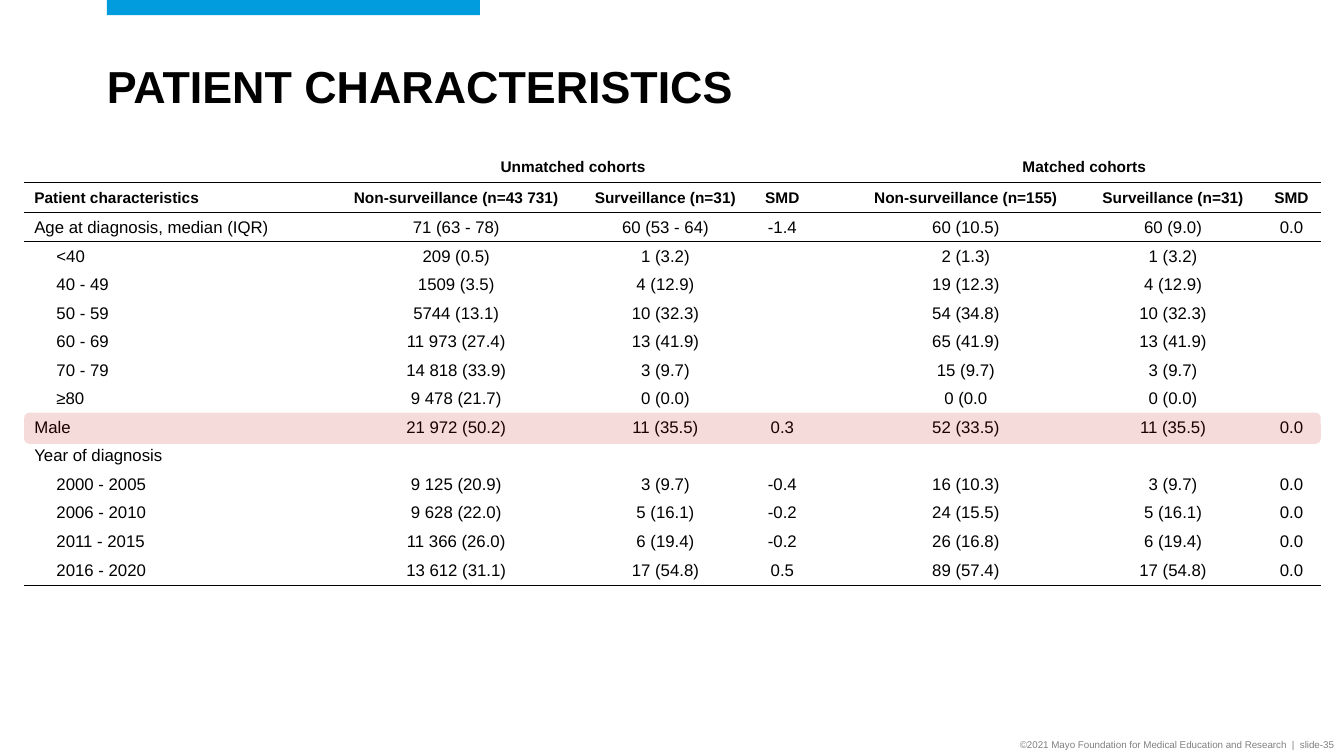
import pptx
import pptx.dml.color
import pptx.enum.shapes
import pptx.enum.text
import pptx.oxml
import pptx.oxml.ns
import pptx.util

RGBColor = pptx.dml.color.RGBColor
BLACK = RGBColor(0x00, 0x00, 0x00)
GREY = RGBColor(0x80, 0x80, 0x80)
BLUE = RGBColor(0x00, 0x9C, 0xDE)
RED = RGBColor(0xC0, 0x00, 0x00)

SHAPE = pptx.enum.shapes.MSO_SHAPE
ALIGN = pptx.enum.text.PP_ALIGN
ANCHOR = pptx.enum.text.MSO_ANCHOR

GRID = pptx.util.Inches(1 / 12)  # one column or row of the 160 by 90 grid
NO_STYLE = "{2D5ABB26-0587-4C30-8999-92F81FD0307C}"

TABLE_LEFT, TABLE_TOP = 2.88, 18
COLUMN_WIDTHS = (36.96, 28.92, 20.88, 6.96, 4.32, 28.08, 21.24, 6.96)
BODY_ROW = 3.4
HEADER_ROWS = 2
INDENT = "> "  # marks a label that sits one level in

ROWS = [
    ("", "Unmatched cohorts", "", "", "", "Matched cohorts", "", ""),
    ("Patient characteristics", "Non-surveillance (n=43 731)", "Surveillance (n=31)", "SMD",
     "", "Non-surveillance (n=155)", "Surveillance (n=31)", "SMD"),
    ("Age at diagnosis, median (IQR)", "71 (63 - 78)", "60 (53 - 64)", "-1.4",
     "", "60 (10.5)", "60 (9.0)", "0.0"),
    ("> <40", "209 (0.5)", "1 (3.2)", "", "", "2 (1.3)", "1 (3.2)", ""),
    ("> 40 - 49", "1509 (3.5)", "4 (12.9)", "", "", "19 (12.3)", "4 (12.9)", ""),
    ("> 50 - 59", "5744 (13.1)", "10 (32.3)", "", "", "54 (34.8)", "10 (32.3)", ""),
    ("> 60 - 69", "11 973 (27.4)", "13 (41.9)", "", "", "65 (41.9)", "13 (41.9)", ""),
    ("> 70 - 79", "14 818 (33.9)", "3 (9.7)", "", "", "15 (9.7)", "3 (9.7)", ""),
    ("> ≥80", "9 478 (21.7)", "0 (0.0)", "", "", "0 (0.0", "0 (0.0)", ""),
    ("Male", "21 972 (50.2)", "11 (35.5)", "0.3", "", "52 (33.5)", "11 (35.5)", "0.0"),
    ("Year of diagnosis", "", "", "", "", "", "", ""),
    ("> 2000 - 2005", "9 125 (20.9)", "3 (9.7)", "-0.4", "", "16 (10.3)", "3 (9.7)", "0.0"),
    ("> 2006 - 2010", "9 628 (22.0)", "5 (16.1)", "-0.2", "", "24 (15.5)", "5 (16.1)", "0.0"),
    ("> 2011 - 2015", "11 366 (26.0)", "6 (19.4)", "-0.2", "", "26 (16.8)", "6 (19.4)", "0.0"),
    ("> 2016 - 2020", "13 612 (31.1)", "17 (54.8)", "0.5", "", "89 (57.4)", "17 (54.8)", "0.0"),
]
ROW_HEIGHTS = [3.72, 3.6] + [BODY_ROW] * (len(ROWS) - 3) + [3.6]
RULED_ROWS = (0, 1, len(ROWS) - 1)


def grid(*lengths):
    return [pptx.util.Emu(round(length * GRID)) for length in lengths]


class SlideBuilder:
    def __init__(self, slide, font="Arial"):
        self.slide = slide
        self.font = font

    def style(self, para, size, color=BLACK, bold=False, align=ALIGN.LEFT):
        para.alignment = align
        for span in para.runs:
            span.font.name = self.font
            span.font.size = pptx.util.Pt(size)
            span.font.bold = bold
            span.font.color.rgb = color

    def title(self, text, place):
        box = self.slide.shapes.title
        box.left, box.top, box.width, box.height = grid(*place)
        frame = box.text_frame
        frame.margin_left = frame.margin_right = 0
        frame.vertical_anchor = ANCHOR.TOP
        frame.auto_size = pptx.enum.text.MSO_AUTO_SIZE.NONE
        frame.text = text
        frame.paragraphs[0].line_spacing = 0.9
        self.style(frame.paragraphs[0], 32, bold=True)

    def text(self, text, place, size, color, align):
        frame = self.slide.shapes.add_textbox(*grid(*place)).text_frame
        frame.word_wrap = True
        frame.vertical_anchor = ANCHOR.MIDDLE
        frame.text = text
        self.style(frame.paragraphs[0], size, color, align=align)

    def block(self, kind, place, color, opacity=100):
        block = self.slide.shapes.add_shape(kind, *grid(*place))
        block.shadow.inherit = False
        block.line.fill.background()
        block.fill.solid()
        block.fill.fore_color.rgb = color
        if opacity < 100:
            tone = block.fill._xPr.find(".//" + pptx.oxml.ns.qn("a:srgbClr"))
            tone.append(pptx.oxml.parse_xml(
                f'<a:alpha {pptx.oxml.ns.nsdecls("a")} val="{opacity * 1000}"/>'))

    def rule(self, cell, side):
        """Draw a black line on one side of a cell: T or B."""
        cell._tc.get_or_add_tcPr().insert(0, pptx.oxml.parse_xml(
            f'<a:ln{side} {pptx.oxml.ns.nsdecls("a")} w="12700"><a:solidFill>'
            f'<a:srgbClr val="{BLACK}"/></a:solidFill></a:ln{side}>'))

    def cell(self, cell, text, size, bold, align):
        cell.fill.background()
        cell.vertical_anchor = ANCHOR.MIDDLE
        cell.margin_top = cell.margin_bottom = 0
        cell.margin_left = pptx.util.Inches(0.32 if text.startswith(INDENT) else 0.1)
        cell.text = text.removeprefix(INDENT)
        para = cell.text_frame.paragraphs[0]
        para.line_spacing = 1.07
        para.space_after = pptx.util.Pt(8)
        self.style(para, size, bold=bold, align=align)
        if not text:  # an empty cell needs a small font to keep its row low
            para._p.append(pptx.oxml.parse_xml(
                f'<a:endParaRPr {pptx.oxml.ns.nsdecls("a")} sz="{size * 100}"/>'))

    def table(self, rows, left, top, widths, heights):
        frame = self.slide.shapes.add_table(
            len(rows), len(widths), *grid(left, top, sum(widths), sum(heights)))
        table = frame.table
        table.first_row = table.horz_banding = False
        table._tbl.tblPr.find(pptx.oxml.ns.qn("a:tableStyleId")).text = NO_STYLE
        for column, width in zip(table.columns, grid(*widths)):
            column.width = width
        for row, height in zip(table.rows, grid(*heights)):
            row.height = height
        for r, texts in enumerate(rows):
            header = r < HEADER_ROWS
            for c, text in enumerate(texts):
                cell = table.cell(r, c)
                self.cell(cell, text, 11 if header else 12, header,
                          ALIGN.CENTER if c else ALIGN.LEFT)
                if r in RULED_ROWS:
                    self.rule(cell, "B")
                if r - 1 in RULED_ROWS:
                    self.rule(cell, "T")
        for first in (1, 5):
            table.cell(0, first).merge(table.cell(0, first + 2))


def main():
    deck = pptx.Presentation()
    deck.slide_width = pptx.util.Inches(13.33)
    deck.slide_height = pptx.util.Inches(7.5)
    page = SlideBuilder(deck.slides.add_slide(deck.slide_layouts[5]))

    page.text("©2021 Mayo Foundation for Medical Education and Research  |  slide-35",
              (110.5, 87.36, 49.44, 2.64), 7, GREY, ALIGN.RIGHT)
    page.block(SHAPE.RECTANGLE, (12.72, 0, 44.4, 1.8), BLUE)
    page.title("PATIENT CHARACTERISTICS", (12.72, 7.08, 131.28, 7.68))
    page.table(ROWS, TABLE_LEFT, TABLE_TOP, COLUMN_WIDTHS, ROW_HEIGHTS)

    male_row = [row[0] for row in ROWS].index("Male")
    male_top = TABLE_TOP + sum(ROW_HEIGHTS[:male_row])
    page.block(SHAPE.ROUNDED_RECTANGLE,
               (TABLE_LEFT, male_top, sum(COLUMN_WIDTHS), 3.72), RED, opacity=14)
    deck.save("out.pptx")


if __name__ == "__main__":
    main()
